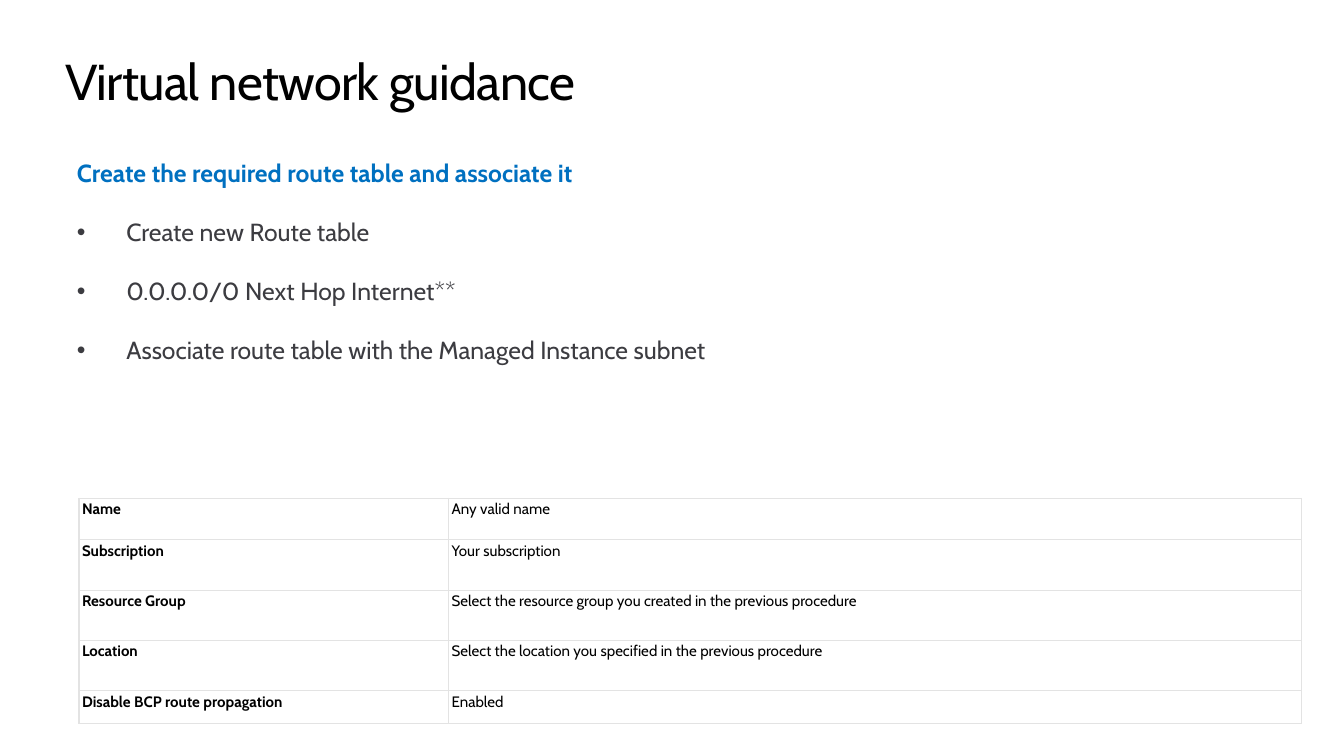
from lxml import etree
from pptx import Presentation
from pptx.dml.color import RGBColor
from pptx.oxml.ns import qn
from pptx.util import Inches, Pt

FONT = "Cabin"
BLACK, BLUE, GRAY, WHITE, RULE = "000000", "0070C0", "3C3C41", "FFFFFF", "E3E3E3"

STEPS = [
    "Create new Route table",
    "0.0.0.0/0 Next Hop Internet**",
    "Associate route table with the Managed Instance subnet",
]
SETTINGS = [
    ("Name", "Any valid name"),
    ("Subscription", "Your subscription"),
    ("Resource Group", "Select the resource group you created in the previous procedure"),
    ("Location", "Select the location you specified in the previous procedure"),
    ("Disable BCP route propagation", "Enabled"),
]
COLUMN_WIDTHS = [3.74, 8.63]
ROW_HEIGHTS = [0.42, 0.51, 0.51, 0.51, 0.33]


def color(value):
    return RGBColor.from_string(value)


def write(para, words, size, shade, bold=False):
    para.text = words
    span = para.runs[0]
    span.font.name = FONT
    span.font.size = Pt(size)
    span.font.bold = bold
    span.font.color.rgb = color(shade)
    return span


def add_frame(page, left, top, width, height):
    box = page.shapes.add_textbox(Inches(left), Inches(top), Inches(width), Inches(height))
    box.text_frame.word_wrap = True
    return box.text_frame


def add_title(page, left, top, width, height):
    frame = add_frame(page, left, top, width, height)
    frame.margin_left = frame.margin_right = frame.margin_top = frame.margin_bottom = 0
    span = write(frame.paragraphs[0], "Virtual network guidance", 36.7, BLACK)
    span.font._element.set("spc", "-50")


def add_steps(page, left, top, width, height):
    frame = add_frame(page, left, top, width, height)
    write(frame.paragraphs[0], "Create the required route table and associate it", 18, BLUE, True)
    for step in STEPS:
        para = frame.add_paragraph()
        # Hanging bullet
        properties = para._p.get_or_add_pPr()
        properties.set("marL", str(Inches(0.5)))
        properties.set("indent", str(-Inches(0.5)))
        etree.SubElement(properties, qn("a:buFont"), typeface="Arial")
        etree.SubElement(properties, qn("a:buChar"), char="•")
        para.space_before = Pt(21.3)
        write(para, step, 18, GRAY)


def add_border(cell, side, points):
    line = etree.SubElement(cell._tc.get_or_add_tcPr(), qn(f"a:ln{side}"), w=str(Pt(points)))
    fill = etree.SubElement(line, qn("a:solidFill"))
    etree.SubElement(fill, qn("a:srgbClr"), val=RULE)


def add_settings(page, left, top, width, height):
    frame = page.shapes.add_table(len(SETTINGS), len(COLUMN_WIDTHS), Inches(left),
                                  Inches(top), Inches(width), Inches(height))
    table = frame.table
    table.first_row = table.horz_banding = False
    for column, size in zip(table.columns, COLUMN_WIDTHS):
        column.width = Inches(size)
    for row, size in zip(table.rows, ROW_HEIGHTS):
        row.height = Inches(size)

    for row_index, setting in enumerate(SETTINGS):
        bottom = 1 if row_index == len(SETTINGS) - 1 else 0.43
        for column_index, words in enumerate(setting):
            cell = table.cell(row_index, column_index)
            cell.margin_left = cell.margin_right = Inches(0.03)
            cell.margin_top = cell.margin_bottom = Inches(0.02)
            # Borders come before the fill in the cell properties
            for side, points in (("L", 1), ("R", 1), ("T", 0.43), ("B", bottom)):
                add_border(cell, side, points)
            cell.fill.solid()
            cell.fill.fore_color.rgb = color(WHITE)
            write(cell.text_frame.paragraphs[0], words, 11, BLACK, column_index == 0)


def main():
    deck = Presentation()
    deck.slide_width, deck.slide_height = Inches(13.6), Inches(7.65)
    page = deck.slides.add_slide(deck.slide_layouts[6])
    add_steps(page, 0.68, 1.55, 11.89, 2.52)
    add_title(page, 0.66, 0.51, 12.29, 0.62)
    add_settings(page, 0.8, 5.04, sum(COLUMN_WIDTHS), sum(ROW_HEIGHTS))
    deck.save("out.pptx")


if __name__ == "__main__":
    main()
